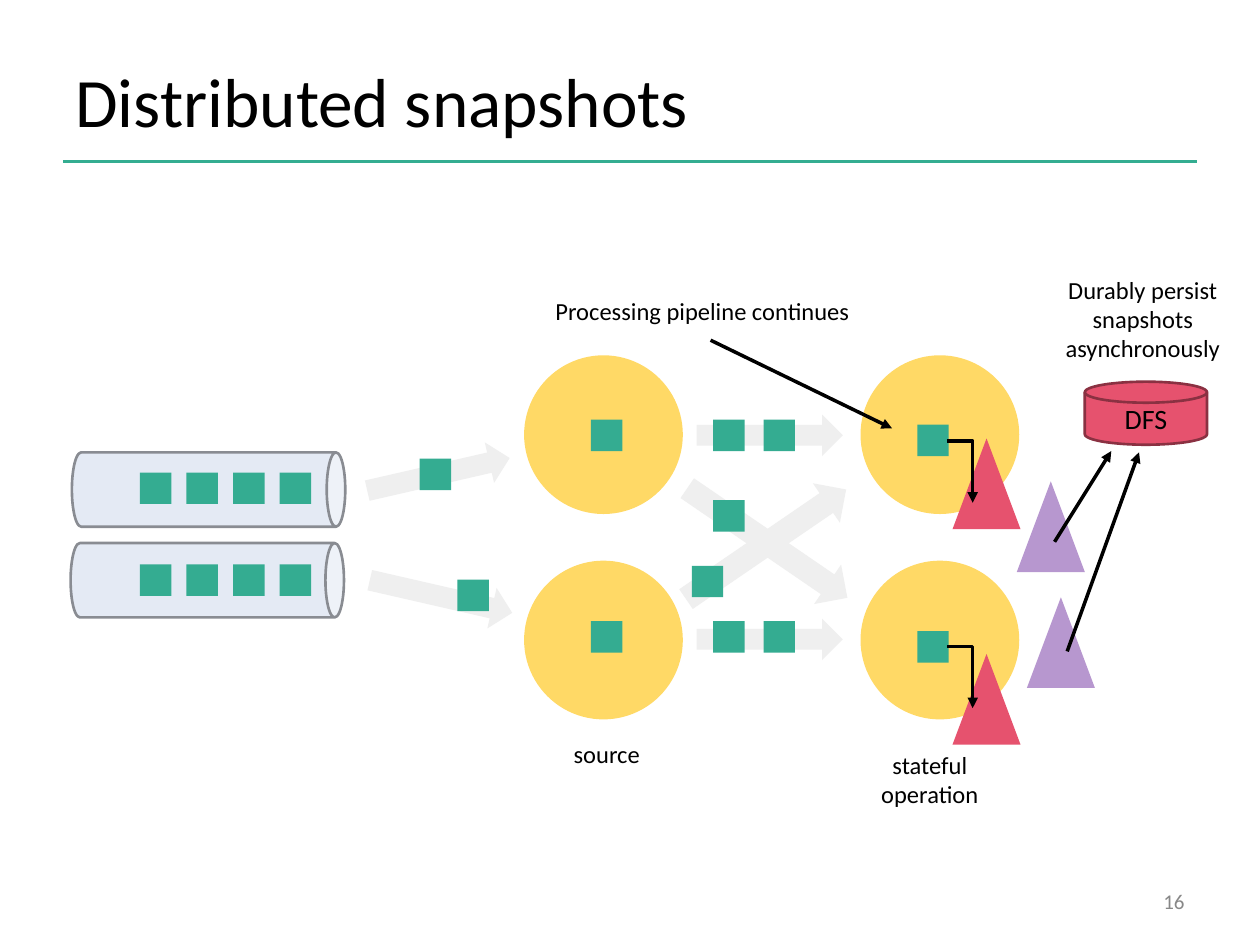
"""Build the "Distributed snapshots" slide: a streaming pipeline persisting state to a DFS."""
from lxml import etree
from pptx import Presentation
from pptx import util as u
from pptx.dml.color import RGBColor
from pptx.enum import shapes, text
from pptx.oxml.ns import qn

COLORS = {
    "rule": "34AD91", "event": "34AC91", "node": "FFD966", "flow": "EFEFEF",
    "state": "E6526E", "store_edge": "8A3142", "snapshot": "7030A0",
    "queue": "E4EAF4", "queue_edge": "898C92", "ink": "000000", "page": "888888",
}
KIND = shapes.MSO_SHAPE
ALIGN = text.PP_ALIGN
TOP, MIDDLE = text.MSO_ANCHOR.TOP, text.MSO_ANCHOR.MIDDLE

LABELS = [
    (["Distributed snapshots"], (0.5, 0.3, 9, 0.98), 39.6, "ink", ALIGN.LEFT, MIDDLE),
    (["16"], (7.17, 6.95, 2.33, 0.4), 12, "page", ALIGN.RIGHT, MIDDLE),
    (["stateful", "operation"], (6.71, 5.9, 1.34, 0.57), 14, "ink", ALIGN.CENTER, TOP),
    (["source"], (4.32, 5.82, 0.99, 0.57), 14, "ink", ALIGN.CENTER, TOP),
    (["Durably persist", "snapshots", "asynchronously"],
     (8.16, 2.13, 1.82, 1.01), 14, "ink", ALIGN.CENTER, TOP),
    (["Processing pipeline continues"], (3.92, 2.3, 3.31, 0.4), 14, "ink", ALIGN.CENTER, TOP),
]
QUEUES = [(1.36, 2.8), (1.35, 3.52)]
NODE_COLUMNS, NODE_ROWS = (4.16, 6.83), (2.82, 4.45)
FLOWS = [
    (5.53, 3.29, 1.16, 0.33, 0), (5.53, 4.91, 1.16, 0.33, 0),
    (5.32, 4.12, 1.54, 0.38, 34.4), (5.31, 4.13, 1.54, 0.38, -34.4),
    (2.9, 3.6, 1.16, 0.33, -12.9), (2.92, 4.57, 1.16, 0.33, 12.9),
]
STATES = [(7.56, 3.48), (7.56, 5.19)]
SNAPSHOTS = [(8.07, 3.82), (8.15, 4.74)]
QUEUED_EVENTS = [(1.11 + 0.37 * i, top) for top in (3.75, 4.48) for i in range(4)]
NODE_EVENTS = [(left, top) for top in (3.33, 4.93) for left in (4.69, 5.66, 6.06)]
MOVING_EVENTS = [(3.33, 3.64), (3.63, 4.6), (5.66, 3.97), (5.49, 4.49)]
STATEFUL_EVENTS = [(7.28, 3.37), (7.28, 5.01)]
UPDATES = [((7.52, 3.5), (7.72, 3.99)), ((7.52, 5.13), (7.72, 5.62))]
POINTERS = [((8.47, 5.17), (9.04, 3.59)), ((8.37, 4.3), (8.82, 3.58)),
            ((5.64, 2.7), (7.08, 3.4))]

prs = Presentation()
prs.slide_width, prs.slide_height = u.Inches(10), u.Inches(7.5)
slide = prs.slides.add_slide(prs.slide_layouts[6])


def rgb(name):
    return RGBColor.from_string(COLORS[name])


def write(frame, lines, size, color, align, anchor):
    frame.word_wrap = True
    frame.vertical_anchor = anchor
    paragraph = frame.paragraphs[0]
    paragraph.alignment = align
    for index, line in enumerate(lines):
        if index:
            paragraph.add_line_break()
        run = paragraph.add_run()
        run.text = line
        run.font.name, run.font.size = "Calibri", u.Pt(size)
        run.font.color.rgb = rgb(color)


def draw(kind, box, fill, edge=None, rotation=0, alpha=None):
    shape = slide.shapes.add_shape(kind, *map(u.Inches, box))
    shape.shadow.inherit = False
    shape.rotation = rotation
    shape.fill.solid()
    shape.fill.fore_color.rgb = rgb(fill)
    if edge:
        shape.line.color.rgb = rgb(edge)
        shape.line.width = u.Pt(1.5)
    else:
        shape.line.fill.background()
    if alpha:
        color = shape.fill._xPr.find(".//" + qn("a:srgbClr"))
        etree.SubElement(color, qn("a:alpha"), val=str(alpha * 1000))
    return shape


def connect(start, end, color="ink", arrow=True, bent=False):
    route = shapes.MSO_CONNECTOR.ELBOW if bent else shapes.MSO_CONNECTOR.STRAIGHT
    line = slide.shapes.add_connector(route, *map(u.Inches, start + end))
    line.line.color.rgb = rgb(color)
    line.line.width = u.Pt(2)
    properties = line._element.spPr
    if arrow:
        etree.SubElement(properties.find(qn("a:ln")), qn("a:tailEnd"), type="triangle")
    if bent:
        properties.find(qn("a:prstGeom")).set("prst", "bentConnector2")
    etree.SubElement(properties, qn("a:effectLst"))


def draw_events(places):
    for place in places:
        draw(KIND.RECTANGLE, place + (0.25, 0.25), "event")


connect((0.5, 1.28), (9.5, 1.28), "rule", arrow=False)
for lines, box, *style in LABELS:
    write(slide.shapes.add_textbox(*map(u.Inches, box)).text_frame, lines, *style)

store = draw(KIND.FLOWCHART_MAGNETIC_DISK, (8.61, 3.03, 0.97, 0.5), "state", "store_edge")
frame = store.text_frame
frame.margin_left = frame.margin_right = frame.margin_top = frame.margin_bottom = 0
write(frame, ["DFS"], 16, "ink", ALIGN.CENTER, MIDDLE)

for place in QUEUES:
    draw(KIND.CAN, place + (0.59, 2.17), "queue", "queue_edge", 90)
for top in NODE_ROWS:
    for left in NODE_COLUMNS:
        draw(KIND.OVAL, (left, top, 1.26, 1.26), "node")
for *box, angle in FLOWS:
    draw(KIND.RIGHT_ARROW, box, "flow", rotation=angle)
for place in STATES:
    draw(KIND.ISOSCELES_TRIANGLE, place + (0.54, 0.72), "state")
draw_events(QUEUED_EVENTS + NODE_EVENTS + MOVING_EVENTS + STATEFUL_EVENTS)
for place in SNAPSHOTS:
    draw(KIND.ISOSCELES_TRIANGLE, place + (0.54, 0.72), "snapshot", alpha=50)
for start, end in UPDATES:
    connect(start, end, bent=True)
for start, end in POINTERS:
    connect(start, end)

prs.save("out.pptx")
